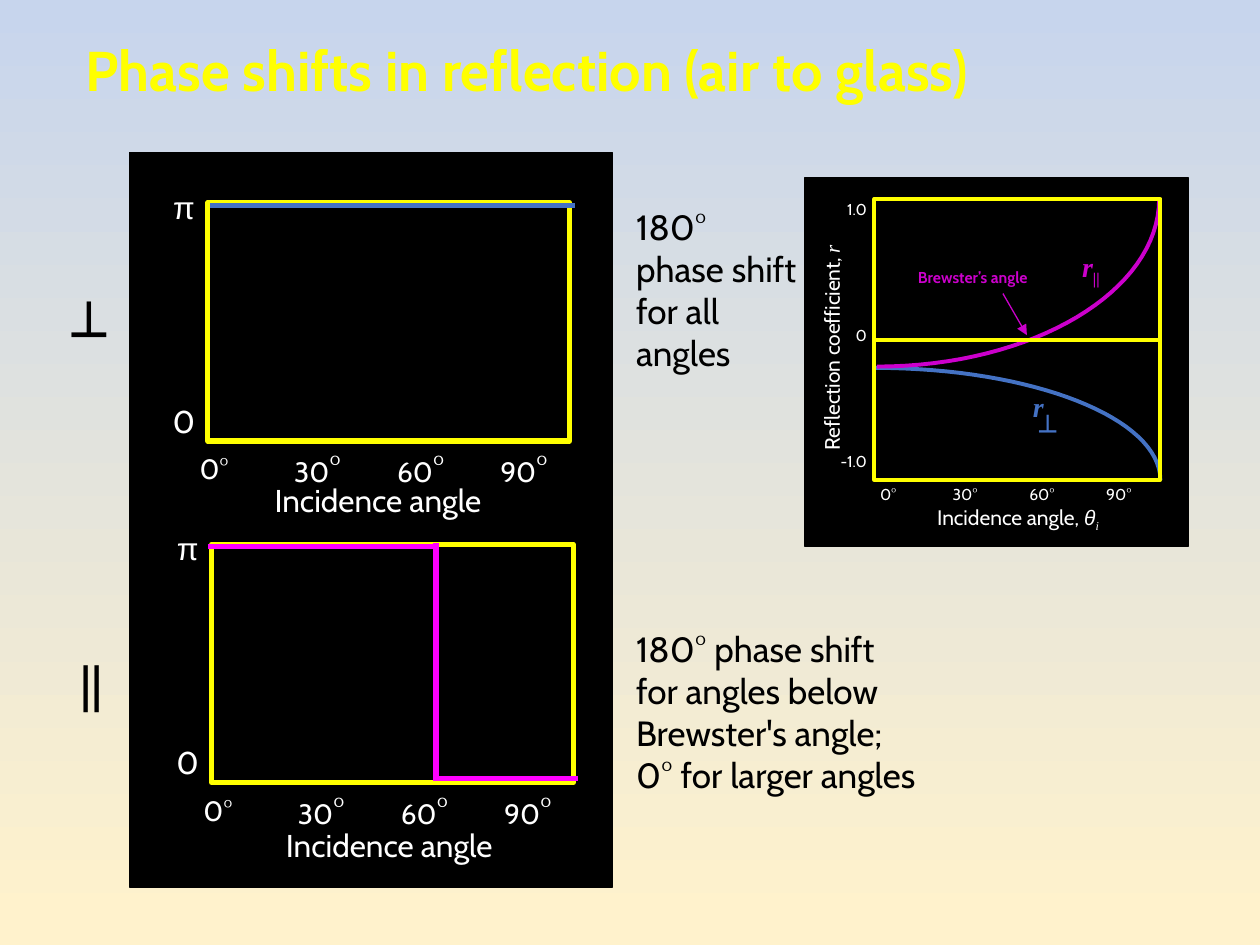
from lxml.etree import SubElement
from pptx import Presentation
from pptx.dml.color import RGBColor
from pptx.enum.shapes import MSO_CONNECTOR, MSO_SHAPE
from pptx.enum.text import MSO_ANCHOR, PP_ALIGN
from pptx.oxml.ns import qn
from pptx.util import Inches, Pt

BLACK = RGBColor(0x00, 0x00, 0x00)
WHITE = RGBColor(0xFF, 0xFF, 0xFF)
YELLOW = RGBColor(0xFF, 0xFF, 0x00)
BLUE = RGBColor(0x44, 0x72, 0xC4)
PINK = RGBColor(0xFF, 0x00, 0xFF)
PURPLE = RGBColor(0xCC, 0x00, 0xCC)
SKY = RGBColor(0xC7, 0xD5, 0xED)
CREAM = RGBColor(0xFF, 0xF2, 0xCC)

SANS, PLAIN, SERIF = "Cabin", "Arial", "Times New Roman"

TITLE = "Phase shifts in reflection (air to glass)"
ANGLES = ["0", "30", "60", "90"]
NOTES = [
    ((4.95, 1.58, 1.51, 1.77), ["180° phase shift", "for all angles"]),
    ((4.95, 4.93, 3.0, 1.43), ["180° phase shift", "for angles below",
                               "Brewster's angle;", "0° for larger angles"]),
]
SIGNS = [((0.48, 2.32, 0.64, 0.63), "┴", 32, True),
         ((0.54, 5.14, 0.44, 0.57), "||", 28, False)]

# Frame, centre of the angle name, and the phase trace of each plot
PHASES = [
    ((1.65, 1.61, 2.87, 1.89), (3.0, 3.97),
     [(1.67, 1.63, 4.56, 1.63)], BLUE),
    ((1.68, 4.32, 2.87, 1.89), (3.09, 6.71),
     [(1.65, 4.34, 3.44, 4.34), (3.46, 4.31, 3.46, 6.2),
      (3.44, 6.18, 4.59, 6.18)], PINK),
]
CURVES = [
    ([(6.95, 2.92), (8.2, 2.92), (9.21, 3.32), (9.21, 3.81)], BLUE),
    ([(6.96, 2.91), (8.2, 2.91), (9.2, 2.31), (9.2, 1.58)], PURPLE),
]

prs = Presentation()
prs.slide_width, prs.slide_height = Inches(10), Inches(7.5)
slide = prs.slides.add_slide(prs.slide_layouts[5])
shapes = slide.shapes


def box(area, fill=None, line=BLACK, width=0.75):
    rect = shapes.add_shape(MSO_SHAPE.RECTANGLE, *map(Inches, area))
    rect.shadow.inherit = False
    if fill is None:
        rect.fill.background()
    else:
        rect.fill.solid()
        rect.fill.fore_color.rgb = fill
    rect.line.color.rgb = line
    rect.line.width = Pt(width)


def rule(ends, color, width, arrow=False):
    line = shapes.add_connector(MSO_CONNECTOR.STRAIGHT, *map(Inches, ends))
    line.line.color.rgb = color
    line.line.width = Pt(width)
    if arrow:
        SubElement(line.line._get_or_add_ln(), qn("a:tailEnd"), type="triangle")
    SubElement(line._element.spPr, qn("a:effectLst"))


def style(run, size, color, face=SANS, bold=False, italic=False, sub=False):
    font = run.font
    font.name, font.size, font.bold, font.italic = face, Pt(size), bold, italic
    font.color.rgb = color
    if sub:
        run._r.get_or_add_rPr().set("baseline", "-25000")


def text(area, lines, size, color, **look):
    frame = shapes.add_textbox(*map(Inches, area)).text_frame
    frame.word_wrap = True
    frame.text = "\n".join(lines)
    for par in frame.paragraphs:
        style(par.runs[0], size, color, **look)


def label(x, y, parts, color=WHITE, align=PP_ALIGN.CENTER, turn=0):
    """Centre a line at x, y, or end it at x; parts hold (text, size, look)."""
    wide, high = 2.4, 0.3
    left = x - wide if align == PP_ALIGN.RIGHT else x - wide / 2
    shape = shapes.add_textbox(*map(Inches, (left, y - high / 2, wide, high)))
    shape.rotation = turn
    frame = shape.text_frame
    frame.margin_left = frame.margin_right = 0
    frame.margin_top = frame.margin_bottom = 0
    frame.vertical_anchor = MSO_ANCHOR.MIDDLE
    frame.word_wrap = True
    par = frame.paragraphs[0]
    par.alignment = align
    for words, size, look in parts:
        run = par.add_run()
        run.text = words
        style(run, size, color, **look)


def curve(points, color, steps=32):
    """Draw a cubic Bezier curve as a fine open outline."""
    spots = []
    for i in range(steps + 1):
        t = i / steps
        mix = ((1 - t) ** 3, 3 * t * (1 - t) ** 2, 3 * t * t * (1 - t), t ** 3)
        spots.append(tuple(Inches(sum(m * p[k] for m, p in zip(mix, points)))
                           for k in (0, 1)))
    pen = shapes.build_freeform(*spots[0])
    pen.add_line_segments(spots[1:], close=False)
    arc = pen.convert_to_shape()
    arc.shadow.inherit = False
    arc.fill.background()
    arc.line.color.rgb = color
    arc.line.width = Pt(2.25)


# Background and title
fill = slide.background.fill
fill.gradient()
fill.gradient_angle = 270
for stop, color, place in zip(fill.gradient_stops, (SKY, CREAM), (0, 0.98)):
    stop.color.rgb = color
    stop.position = place

title = shapes.title
title.left, title.top, title.width, title.height = map(
    Inches, (0.58, 0.08, 8.5, 1))
title.text_frame.text = TITLE
title.text_frame.vertical_anchor = MSO_ANCHOR.MIDDLE
head = title.text_frame.paragraphs[0]
head.alignment = PP_ALIGN.LEFT
head.line_spacing = 0.9
style(head.runs[0], 32, YELLOW, bold=True)

for area, lines in NOTES:
    text(area, lines, 20, BLACK)
for area, sign, size, bold in SIGNS:
    text(area, [sign], size, BLACK, bold=bold)

# Phase plots
box((1.03, 1.21, 3.83, 5.83), BLACK)
for frame, name, trace, color in PHASES:
    left, top, wide, high = frame
    box(frame, line=YELLOW, width=3)
    for ends in trace:
        rule(ends, color, 3)
    for i, angle in enumerate(ANGLES):
        ring = 20 if i else 16
        label(left + 0.05 + 0.82 * i, top + high + 0.22,
              [(angle, 16, {}), ("°", ring, {})])
    label(*name, [("Incidence angle", 18, {})])
    label(left - 0.19, top + 0.03, [("π", 18, {"face": PLAIN})])
    label(left - 0.19, top + high - 0.16, [("0", 18, {})])

# Reflection coefficient plot
box((6.39, 1.41, 3.04, 2.93), BLACK)
for points, color in CURVES:
    curve(points, color)
box((6.94, 1.58, 2.27, 2.23), line=YELLOW, width=2.25)
rule((6.94, 2.7, 9.22, 2.7), YELLOW, 2.25)
for i, angle in enumerate(ANGLES):
    label(7.05 + 0.61 * i, 3.92, [(angle + "°", 9, {})])
for i, mark in enumerate(["1.0", "0", "-1.0"]):
    label(6.88, 1.66 + i, [(mark, 9, {})], align=PP_ALIGN.RIGHT)
label(8.08, 4.12, [("Incidence angle, ", 12, {}),
                   ("θ", 12, {"face": PLAIN, "italic": True}),
                   ("i", 12, {"face": SERIF, "italic": True, "sub": True})])
label(6.6, 2.76, [("Reflection coefficient, ", 12, {}),
                  ("r", 12, {"face": SERIF, "italic": True})], turn=270)

symbol = {"face": SERIF, "bold": True, "italic": True}
label(8.66, 2.13, [("r", 16, symbol), ("||", 16, {**symbol, "sub": True})],
      PURPLE)
text((8.1, 3.04, 0.3, 0.37), ["r"], 16, BLUE, **symbol)
text((8.15, 3.23, 0.34, 0.37), ["┴"], 16, BLUE, bold=True, italic=True)
label(7.72, 2.2, [("Brewster’s angle", 9, {"bold": True})], PURPLE)
rule((7.96, 2.33, 8.15, 2.66), PURPLE, 0.75, arrow=True)

prs.save("out.pptx")
